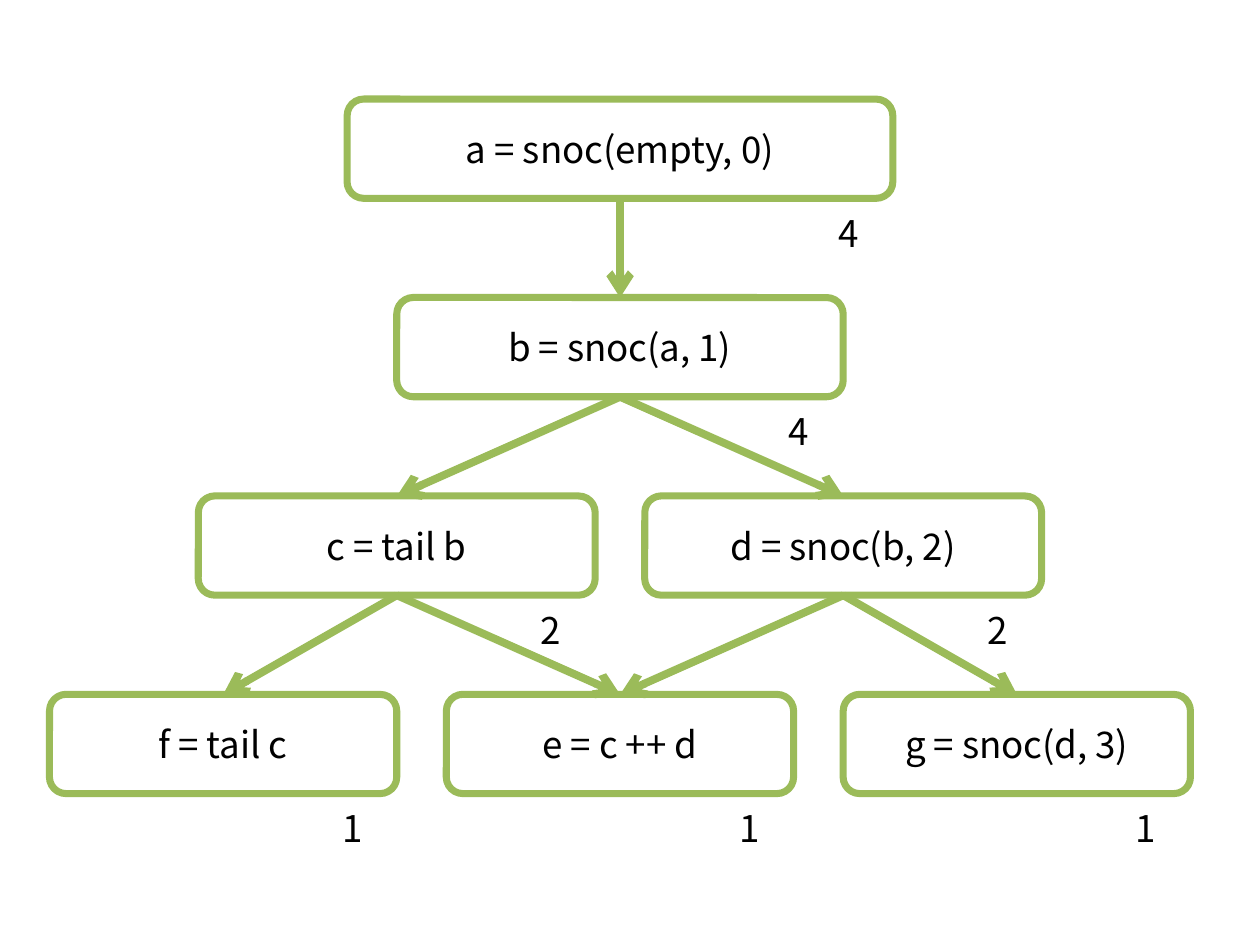
from collections import namedtuple

from lxml.etree import SubElement
from pptx import Presentation
from pptx.dml.color import RGBColor
from pptx.enum.shapes import MSO_CONNECTOR as Connector, MSO_SHAPE as Shape
from pptx.enum.text import MSO_ANCHOR as Anchor, MSO_AUTO_SIZE as AutoSize, PP_ALIGN as Align
from pptx.oxml.ns import qn
from pptx.util import Cm, Pt

FONT = "Noto Sans CJK JP"
GREEN, WHITE, BLACK = "9BBB59", "FFFFFF", "000000"
BOTTOM, TOP = 2, 0

# Node grid, in cm
FIRST_ROW, ROW_STEP, NODE_HEIGHT = 1, 2, 1
SIZE_INSET, SIZE_WIDTH, SIZE_HEIGHT = 0.8, 0.76, 0.71

# Row in the tree, centre and width in cm, and the size shown below the node
Node = namedtuple("Node", "row centre width text size")
NODES = {
    "a": Node(0, 6.25, 5.5, "a = snoc(empty, 0)", "4"),
    "b": Node(1, 6.25, 4.5, "b = snoc(a, 1)", "4"),
    "c": Node(2, 4, 4, "c = tail b", "2"),
    "d": Node(2, 8.5, 4, "d = snoc(b, 2)", "2"),
    "f": Node(3, 2.25, 3.5, "f = tail c", "1"),
    "e": Node(3, 6.25, 3.5, "e = c ++ d", "1"),
    "g": Node(3, 10.25, 3.5, "g = snoc(d, 3)", "1"),
}
EDGES = ["ab", "bc", "bd", "cf", "ce", "de", "dg"]


def color(hex_string):
    return RGBColor.from_string(hex_string)


def write(frame, text, size=10.5, fill=BLACK, align=Align.LEFT, anchor=Anchor.TOP):
    frame.word_wrap = False
    frame.vertical_anchor = anchor
    paragraph = frame.paragraphs[0]
    paragraph.alignment = align
    run = paragraph.add_run()
    run.text = text
    run.font.name = FONT
    run.font.size = Pt(size)
    run.font.color.rgb = color(fill)


def node_top(node):
    return FIRST_ROW + node.row * ROW_STEP


def add_node(slide, node):
    box = slide.shapes.add_shape(
        Shape.ROUNDED_RECTANGLE, Cm(node.centre - node.width / 2),
        Cm(node_top(node)), Cm(node.width), Cm(NODE_HEIGHT))
    box.shadow.inherit = False
    box.fill.solid()
    box.fill.fore_color.rgb = color(WHITE)
    box.line.color.rgb = color(GREEN)
    box.line.width = Pt(2)
    write(box.text_frame, node.text, align=Align.CENTER, anchor=Anchor.MIDDLE)
    return box


def add_arrow(slide, parent, child):
    arrow = slide.shapes.add_connector(Connector.STRAIGHT, 0, 0, 0, 0)
    arrow.begin_connect(parent, BOTTOM)
    arrow.end_connect(child, TOP)
    arrow.line.color.rgb = color(GREEN)
    arrow.line.width = Pt(2.25)
    SubElement(arrow.line._get_or_add_ln(), qn("a:tailEnd"), type="arrow")
    SubElement(arrow._element.spPr, qn("a:effectLst"))


def add_size(slide, node):
    right = node.centre + node.width / 2
    label = slide.shapes.add_textbox(
        Cm(right - SIZE_INSET), Cm(node_top(node) + NODE_HEIGHT),
        Cm(SIZE_WIDTH), Cm(SIZE_HEIGHT))
    write(label.text_frame, node.size)
    label.text_frame.auto_size = AutoSize.SHAPE_TO_FIT_TEXT


def main():
    deck = Presentation()
    deck.slide_width, deck.slide_height = Cm(12.7), Cm(12.7 * 3 / 4)
    slide = deck.slides.add_slide(deck.slide_layouts[6])

    # Expressions
    boxes = {name: add_node(slide, node) for name, node in NODES.items()}

    # Dependencies
    for parent, child in EDGES:
        add_arrow(slide, boxes[parent], boxes[child])

    # Sizes
    for node in NODES.values():
        add_size(slide, node)

    deck.save("out.pptx")


if __name__ == "__main__":
    main()
